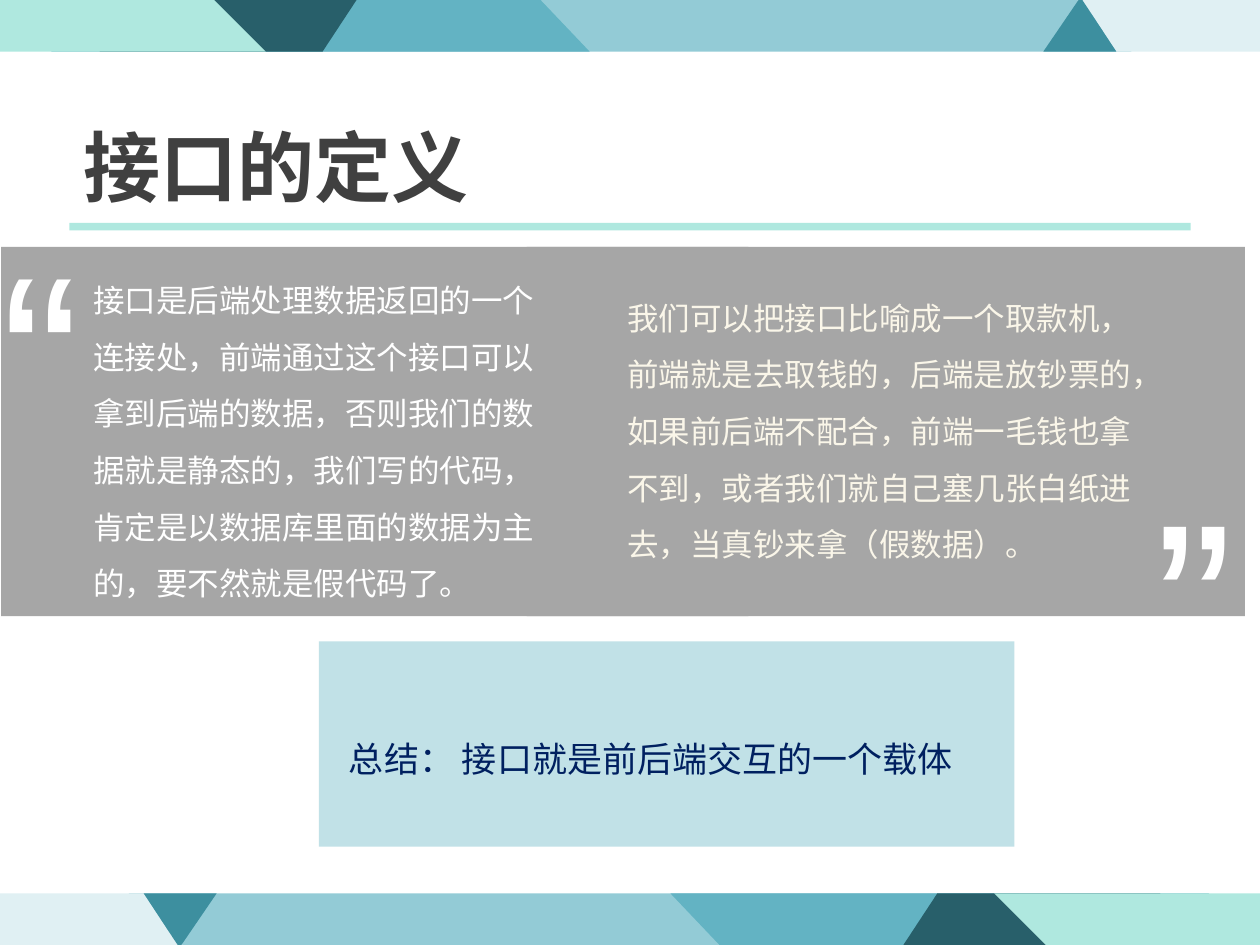
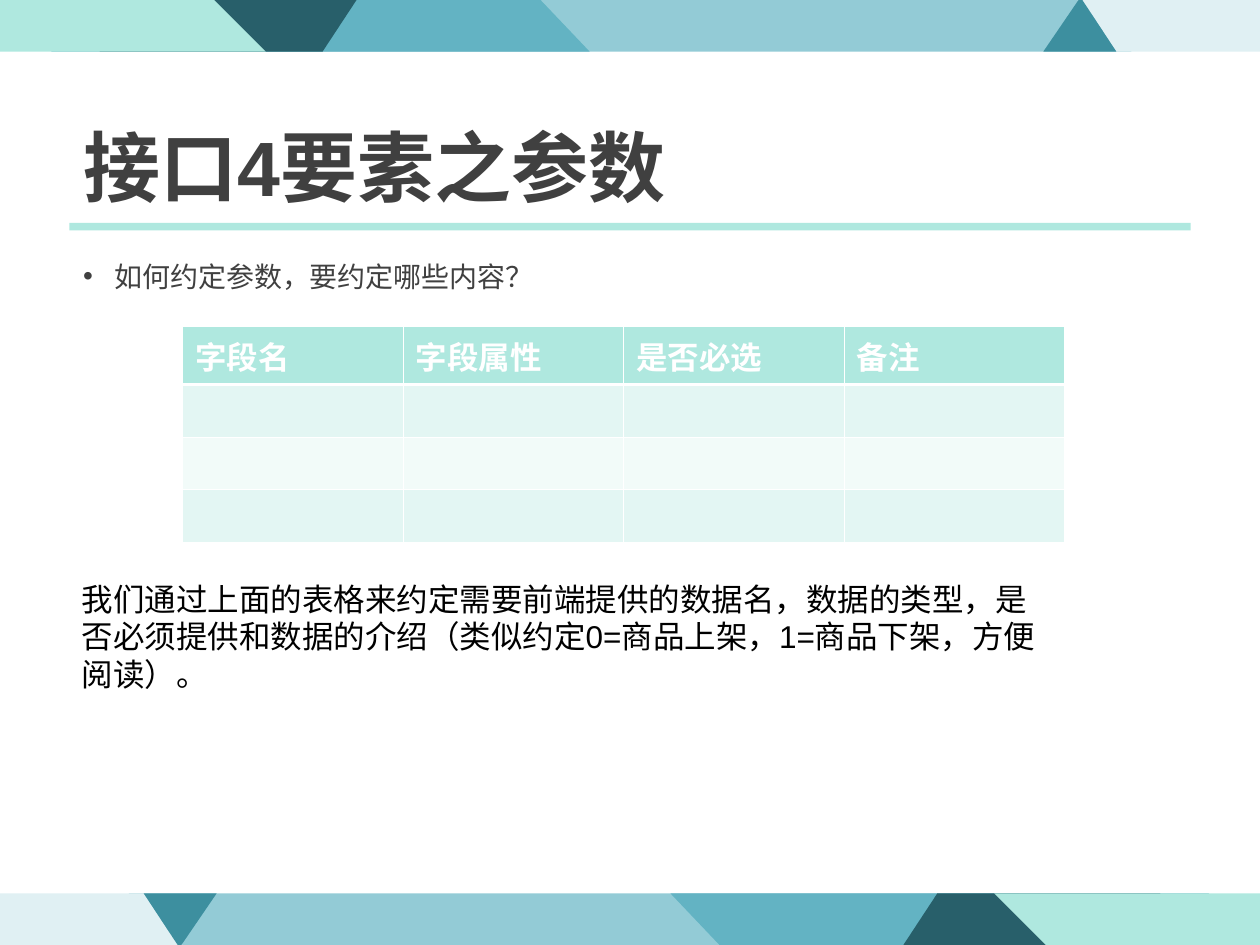
from dataclasses import dataclass

from lxml import etree
from pptx import Presentation
from pptx.dml.color import RGBColor
from pptx.enum.shapes import MSO_SHAPE
from pptx.enum.text import MSO_ANCHOR, MSO_AUTO_SIZE, PP_ALIGN
from pptx.oxml.ns import qn
from pptx.util import Inches, Pt

SLIDE_W, SLIDE_H = Inches(10), Inches(7.5)


@dataclass(frozen=True)
class Theme:
    font: str = "Arial"
    # Colours
    white: str = "FFFFFF"
    black: str = "000000"
    ink: str = "404040"
    navy: str = "002060"
    cream: str = "FAF6E9"
    grey: str = "A6A6A6"
    mint: str = "AFE8DF"
    mint_odd: str = "E3F6F3"
    mint_even: str = "F2FBF9"
    pale: str = "E0F0F3"
    ice: str = "C1E1E7"
    sky: str = "93CBD6"
    blue: str = "63B3C3"
    teal: str = "3D8F9F"
    deep: str = "285F6A"
    # Type sizes in points
    title: int = 44
    summary: int = 20
    text: int = 18
    bullet: int = 16
    quote: int = 135


THEME = Theme()

# Band pieces: colour, then left and right x (% of width) on the outer and inner edge
BAND_HEIGHT = 5.47
BAND_PIECES = [
    (THEME.sky, (15, 85.5), (19.2, 89.8)),
    (THEME.blue, (0, 42.9), (4.1, 46.8)),
    (THEME.pale, (85.9, 100), (88.6, 100)),
    (THEME.teal, (85.6, 85.9), (82.8, 88.6)),
    (THEME.deep, (10.7, 28.3), (7.9, 25.6)),
    (THEME.mint, (0, 17), (0, 21.1)),
]


def across(percent):
    return round(SLIDE_W * percent / 100)


def down(percent):
    return round(SLIDE_H * percent / 100)


def area(left, top, width, height):
    """Left, top, width and height as percentages of the slide."""
    return across(left), down(top), across(width), down(height)


def paint(shape, color):
    shape.shadow.inherit = False
    shape.fill.solid()
    shape.fill.fore_color.rgb = RGBColor.from_string(color)
    shape.line.fill.background()


def add_panel(slide, place, color):
    panel = slide.shapes.add_shape(MSO_SHAPE.RECTANGLE, *place)
    paint(panel, color)
    return panel


def write(frame, text, size, color, bold=False, spacing=1.0, insets=(0, 0, 0, 0),
          anchor=MSO_ANCHOR.TOP):
    """Fill a text frame with one left-aligned paragraph; insets in inches."""
    frame.word_wrap = True
    frame.auto_size = MSO_AUTO_SIZE.NONE
    frame.vertical_anchor = anchor
    (frame.margin_left, frame.margin_top,
     frame.margin_right, frame.margin_bottom) = map(Inches, insets)
    frame.text = text
    paragraph = frame.paragraphs[0]
    paragraph.alignment = PP_ALIGN.LEFT
    paragraph.line_spacing = spacing
    paragraph.space_before = Pt(0)
    style(paragraph, size, color, bold)
    return paragraph


def style(paragraph, size, color, bold=False):
    font = paragraph.font
    font.name, font.size, font.bold = THEME.font, Pt(size), bold
    font.color.rgb = RGBColor.from_string(color)


def add_text(slide, place, text, size, color, **options):
    box = slide.shapes.add_textbox(*place)
    write(box.text_frame, text, size, color, **options)
    return box


def move_placeholder(holder, place):
    holder.left, holder.top, holder.width, holder.height = place


def set_title(slide, text):
    move_placeholder(slide.shapes.title, area(5.5, 9.6, 89, 13.33))
    write(slide.shapes.title.text_frame, text, THEME.title, THEME.ink, bold=True,
          insets=(0.11, 0.04, 0.08, 0.04), anchor=MSO_ANCHOR.BOTTOM)


def set_bullet(slide, text):
    body = slide.placeholders[1]
    move_placeholder(body, area(5.5, 26.4, 89, 66))
    paragraph = write(body.text_frame, text, THEME.bullet, THEME.ink, spacing=1.3,
                      insets=(0.11, 0, 0.09, 0))
    paragraph.space_after = Pt(10)
    properties = paragraph.font._element.getparent()
    properties.set("marL", str(Inches(0.25)))
    properties.set("indent", str(-Inches(0.25)))
    mark = etree.Element(qn("a:buChar"), char="•")
    properties.insert(properties.index(properties.find(qn("a:defRPr"))), mark)


def add_band_piece(slide, color, outer, inner, turned):
    """One slanted piece of the top band, or of the bottom band when turned."""
    corners = [(outer[0], 0), (outer[1], 0), (inner[1], BAND_HEIGHT), (inner[0], BAND_HEIGHT)]
    if turned:
        corners = [(100 - x, 100 - y) for x, y in corners]
    points = [(across(x), down(y)) for x, y in corners]
    builder = slide.shapes.build_freeform(*points[0], scale=1.0)
    builder.add_line_segments(points[1:], close=True)
    piece = builder.convert_to_shape()
    paint(piece, color)
    return piece


def decorate_master(prs, slide):
    """Draw the title rule and both bands, then hand them to the slide master."""
    parts = [add_panel(slide, area(5.5, 23.6, 89, 0.8), THEME.mint)]
    for turned in (False, True):
        parts += [add_band_piece(slide, *piece, turned) for piece in BAND_PIECES]
    master_tree = prs.slide_master.shapes.element
    for position, part in enumerate(parts, start=2):
        master_tree.insert(position, part.element)


def set_borders(cell, widths):
    """White cell borders; widths in points for the sides L, R, T and B."""
    properties = cell._tc.get_or_add_tcPr()
    for side, width in zip("LRTB", widths):
        line = etree.SubElement(properties, qn(f"a:ln{side}"), w=str(Pt(width)))
        fill = etree.SubElement(line, qn("a:solidFill"))
        etree.SubElement(fill, qn("a:srgbClr"), val=THEME.white)


def add_field_table(slide, place, headings, blank_rows):
    thin, thick = 0.45, 1.47
    table = slide.shapes.add_table(blank_rows + 1, len(headings), *place).table
    row_fills = [THEME.mint] + [THEME.mint_even if row % 2 else THEME.mint_odd
                                for row in range(blank_rows)]
    for row, color in enumerate(row_fills):
        for column, heading in enumerate(headings):
            cell = table.cell(row, column)
            set_borders(cell, (thin, thin, thick if row == 1 else thin,
                               thick if row == 0 else thin))
            cell.fill.solid()
            cell.fill.fore_color.rgb = RGBColor.from_string(color)
            cell.vertical_anchor = MSO_ANCHOR.MIDDLE
            if row == 0:
                cell.text = heading
            style(cell.text_frame.paragraphs[0], THEME.text, THEME.white, bold=row == 0)


def build_definition(slide):
    set_title(slide, "接口的定义")

    # Quotation on two overlapping grey panels
    for left, width in ((41.8, 57), (0.1, 59.3)):
        add_panel(slide, area(left, 26.13, width, 39.07), THEME.grey)
    add_text(slide, area(7.4, 27.73, 35.1, 36),
             "接口是后端处理数据返回的一个连接处，前端通过这个接口可以拿到后端的数据，"
             "否则我们的数据就是静态的，我们写的代码，肯定是以数据库里面的数据为主的，"
             "要不然就是假代码了。", THEME.text, THEME.white, spacing=1.5)
    add_text(slide, area(49.8, 29.6, 41, 30),
             "我们可以把接口比喻成一个取款机，前端就是去取钱的，后端是放钞票的，"
             "如果前后端不配合，前端一毛钱也拿不到，或者我们就自己塞几张白纸进去，"
             "当真钞来拿（假数据）。", THEME.text, THEME.cream, spacing=1.5)

    # Opening mark, and the same mark turned round to close
    for place, angle in ((area(0.1, 21.87, 9.3, 30), 0), (area(87.5, 39.2, 10.4, 30), 180)):
        mark = add_text(slide, place, "“", THEME.quote, THEME.white)
        mark.rotation = angle

    # Summary
    add_panel(slide, area(25.3, 67.87, 55.2, 21.73), THEME.ice)
    summary = add_panel(slide, area(27.7, 75.87, 51, 6.67), THEME.ice)
    write(summary.text_frame, "总结： 接口就是前后端交互的一个载体",
          THEME.summary, THEME.navy, spacing=1.5)


def build_parameters(slide):
    set_title(slide, "接口4要素之参数")
    set_bullet(slide, "如何约定参数，要约定哪些内容？")
    add_field_table(slide, area(14.5, 34.53, 70, 22.27),
                    ["字段名", "字段属性", "是否必选", "备注"], blank_rows=3)
    add_text(slide, area(5.5, 60.67, 79.3, 13.33),
             "我们通过上面的表格来约定需要前端提供的数据名，数据的类型，"
             "是否必须提供和数据的介绍（类似约定0=商品上架，1=商品下架，方便阅读）。",
             THEME.text, THEME.black, insets=(0.1, 0.05, 0.1, 0.05))


def main():
    prs = Presentation()
    prs.slide_width, prs.slide_height = SLIDE_W, SLIDE_H
    title_and_content, title_only = prs.slide_layouts[1], prs.slide_layouts[5]

    definition = prs.slides.add_slide(title_only)
    decorate_master(prs, definition)
    build_definition(definition)
    build_parameters(prs.slides.add_slide(title_and_content))
    prs.save("out.pptx")


if __name__ == "__main__":
    main()
